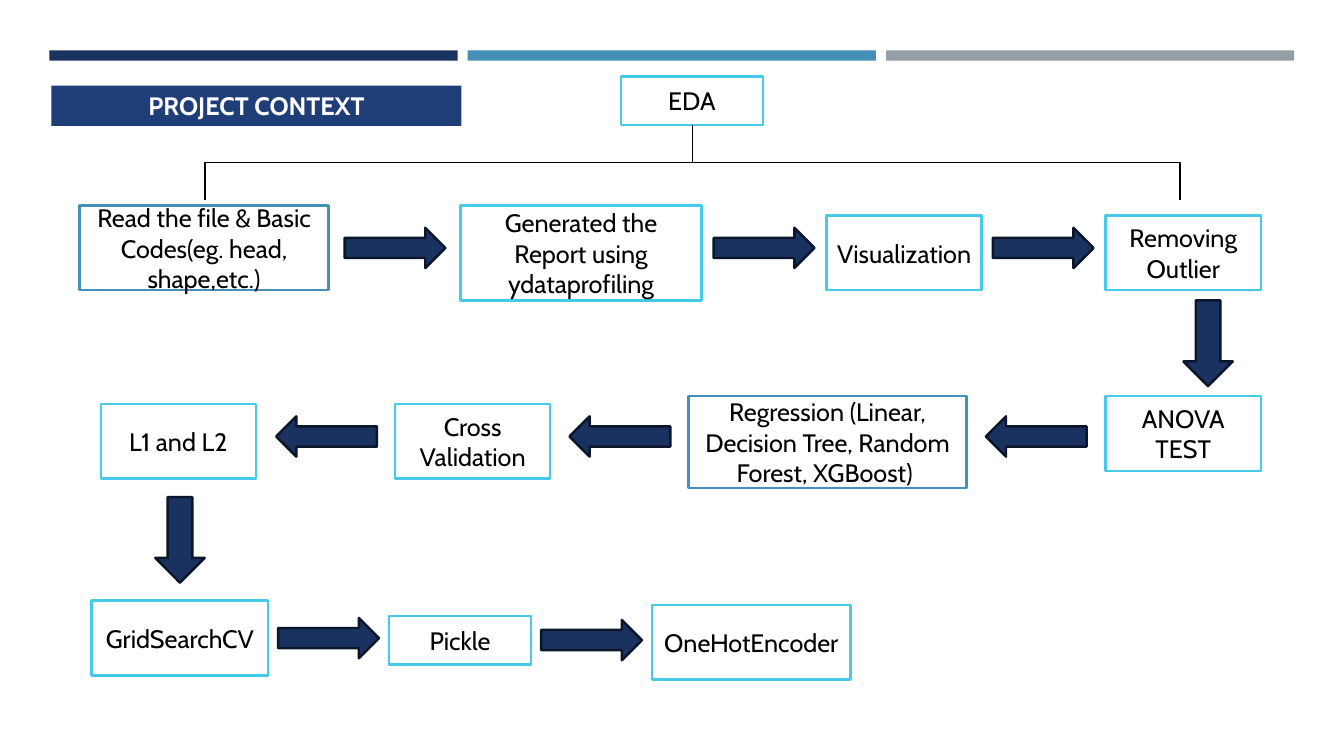
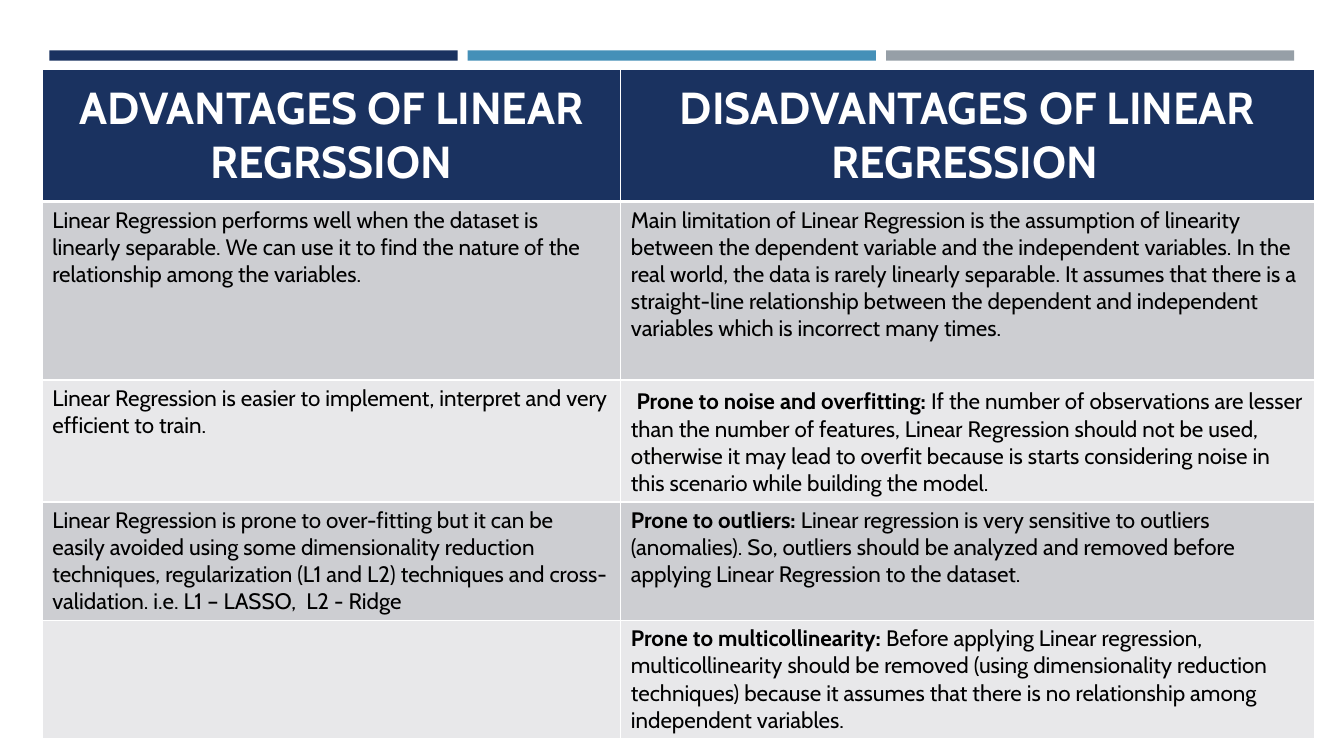
"""Build two slides: a project flow chart and a table on linear regression."""
import dataclasses

import pptx
import pptx.dml.color
import pptx.enum.shapes
import pptx.enum.text
import pptx.oxml
import pptx.oxml.ns
import pptx.shapes.autoshape
import pptx.slide
import pptx.table
import pptx.text.text
import pptx.util

Pt = pptx.util.Pt
Kind = pptx.enum.shapes.MSO_SHAPE
Align = pptx.enum.text.PP_ALIGN
Anchor = pptx.enum.text.MSO_ANCHOR

NAVY, BLUE, GREY, CYAN = "1A3260", "4590B8", "969FA7", "45CBE8"
TITLE, EDGE, BLACK, WHITE = "1F3E77", "0B162A", "000000", "FFFFFF"
STRIPES = ("CDCED2", "E8E8EA")
FONT = "Cabin"


@dataclasses.dataclass(frozen=True)
class Run:
    text: str
    size: float = 18
    bold: bool = False
    color: str = BLACK


@dataclasses.dataclass(frozen=True)
class Box:
    text: str
    left: float
    top: float
    width: float
    height: float
    edge: str = CYAN


@dataclasses.dataclass(frozen=True)
class Arrow:
    kind: Kind
    left: float
    top: float


BOXES = (
    Box("Read the file & Basic Codes(eg. head, shape,etc.)", 56.9, 146.9, 177.8, 60.5, BLUE),
    Box("Generated the Report using ydataprofiling", 329, 146.9, 172.1, 67.7),
    Box("Visualization", 590.4, 154.1, 110.9, 53.3),
    Box("Removing Outlier", 789.8, 154.1, 110.9, 53.3),
    Box("ANOVA TEST", 789.8, 283, 110.9, 53.3),
    Box("Regression (Linear, Decision Tree, Random Forest, XGBoost) ",
        491.8, 283, 198.7, 65.5, BLUE),
    Box("EDA", 443.5, 54.7, 101.5, 34.6),
    Box("Cross Validation", 282.2, 288.7, 110.9, 53.3),
    Box("L1 and L2", 72, 288.7, 110.9, 53.3),
    Box("GridSearchCV", 65.5, 429.1, 126, 53.3),
    Box("Pickle", 277.9, 439.9, 101.5, 34.6),
    Box("OneHotEncoder", 465.8, 432, 141.8, 53.3),
)

ARROWS = (
    Arrow(Kind.RIGHT_ARROW, 246.2, 162.7),
    Arrow(Kind.RIGHT_ARROW, 509.8, 162.7),
    Arrow(Kind.RIGHT_ARROW, 709.2, 162.7),
    Arrow(Kind.DOWN_ARROW, 845.3, 214.6),
    Arrow(Kind.LEFT_ARROW, 704.2, 297.4),
    Arrow(Kind.LEFT_ARROW, 406.8, 297.4),
    Arrow(Kind.LEFT_ARROW, 197.3, 297.4),
    Arrow(Kind.DOWN_ARROW, 110.9, 355),
    Arrow(Kind.RIGHT_ARROW, 198.7, 441.4),
    Arrow(Kind.RIGHT_ARROW, 386.6, 442.8),
)

HEADS = (
    (Run("ADVANTAGES OF LINEAR REGRSSION", 32, True, WHITE),),
    (Run("DISADVANTAGES OF LINEAR REGRESSION", 32, True, WHITE),
     Run(" ", 18, True, WHITE)),
)

BODY = (
    (
        (Run("Linear Regression performs well when the dataset is linearly separable. "
             "We can use it to find the nature of the relationship among the variables.", 16),),
        (Run("Main limitation of Linear Regression is the assumption of linearity between "
             "the dependent variable and the independent variables. In the real world, the "
             "data is rarely linearly separable. It assumes that there is a straight-line "
             "relationship between the dependent and independent variables which is "
             "incorrect many times.", 16),),
    ),
    (
        (Run("Linear Regression is easier to implement, interpret and very efficient "
             "to train.", 16),),
        (Run(" "),
         Run("Prone to noise and overfitting: ", 16, True),
         Run("If the number of observations are lesser than the number of features, Linear "
             "Regression should not be used, otherwise it may lead to overfit because is "
             "starts considering noise in this scenario while building the model.", 16)),
    ),
    (
        (Run("Linear Regression is prone to over-fitting but it can be easily avoided using "
             "some dimensionality reduction techniques, regularization (L1 and L2) techniques "
             "and cross-validation. i.e. L1 – LASSO,  L2 - Ridge", 16),),
        (Run("Prone to outliers: ", 16, True),
         Run("Linear regression is very sensitive to outliers (anomalies). So, outliers "
             "should be analyzed and removed before applying Linear Regression to the "
             "dataset.", 16)),
    ),
    (
        (),
        (Run("Prone to multicollinearity: ", 16, True),
         Run("Before applying Linear regression, multicollinearity should be removed (using "
             "dimensionality reduction techniques) because it assumes that there is no "
             "relationship among independent variables.", 16)),
    ),
)


def tint(code: str) -> pptx.dml.color.RGBColor:
    return pptx.dml.color.RGBColor.from_string(code)


def write(frame: pptx.text.text.TextFrame, runs: tuple[Run, ...], align: Align) -> None:
    para = frame.paragraphs[0]
    para.alignment = align
    for item in runs:
        run = para.add_run()
        run.text = item.text
        style = {"name": FONT, "size": Pt(item.size), "bold": item.bold}
        for key, value in style.items():
            setattr(run.font, key, value)
        run.font.color.rgb = tint(item.color)


def draw(slide: pptx.slide.Slide, kind: Kind, left: float, top: float, width: float,
         height: float, fill: str = "", edge: str = "",
         weight: float = 1.75) -> pptx.shapes.autoshape.Shape:
    shape = slide.shapes.add_shape(kind, Pt(left), Pt(top), Pt(width), Pt(height))
    shape.shadow.inherit = False
    for part, code in ((shape.fill, fill), (shape.line.fill, edge)):
        if code:
            part.solid()
            part.fore_color.rgb = tint(code)
        else:
            part.background()
    if edge:
        shape.line.width = Pt(weight)
    return shape


def label(shape: pptx.shapes.autoshape.Shape, run: Run) -> None:
    frame = shape.text_frame
    style = {"word_wrap": True, "vertical_anchor": Anchor.MIDDLE}
    for key, value in style.items():
        setattr(frame, key, value)
    write(frame, (run,), Align.CENTER)


def start(deck: pptx.presentation.Presentation) -> pptx.slide.Slide:
    slide = deck.slides.add_slide(deck.slide_layouts[6])
    for spot, code in enumerate((NAVY, BLUE, GREY)):
        draw(slide, Kind.RECTANGLE, 35.3 + spot * 298.8, 36, 291.6, 7.4, code)
    return slide


def border(cell: pptx.table._Cell, base: float) -> None:
    props = cell._tc.get_or_add_tcPr()
    for side, weight in (("L", 1), ("R", 1), ("T", 1), ("B", base)):
        props.append(pptx.oxml.parse_xml(
            f'<a:ln{side} {pptx.oxml.ns.nsdecls("a")} w="{Pt(weight)}">'
            f'<a:solidFill><a:srgbClr val="{WHITE}"/></a:solidFill></a:ln{side}>'))


def flow(deck: pptx.presentation.Presentation) -> None:
    slide = start(deck)
    label(draw(slide, Kind.RECTANGLE, 36.7, 61.2, 293, 28.8, TITLE),
          Run("PROJECT CONTEXT", 18, True, WHITE))
    for box in BOXES:
        shape = draw(slide, Kind.RECTANGLE, box.left, box.top, box.width, box.height,
                     WHITE, box.edge)
        label(shape, Run(box.text))
    for arrow in ARROWS:
        size = (35.3, 61.2) if arrow.kind == Kind.DOWN_ARROW else (72, 28.8)
        draw(slide, arrow.kind, arrow.left, arrow.top, *size, NAVY, EDGE)
    brace = draw(slide, Kind.LEFT_BRACE, 468, -231.8, 53.3, 696.2, edge=BLACK, weight=1)
    brace.rotation = 90
    for spot, value in enumerate((0, 0.5)):
        brace.adjustments[spot] = value


def compare(deck: pptx.presentation.Presentation) -> None:
    slide = start(deck)
    widths = (413.3, 495.4)
    heights = (94.3, 127.4, 82.1, 82.1, 82.1)
    grid = slide.shapes.add_table(len(heights), len(widths), Pt(30.2), Pt(49.7),
                                  Pt(sum(widths)), Pt(sum(heights))).table
    for column, width in zip(grid.columns, widths):
        column.width = Pt(width)
    for row, height in zip(grid.rows, heights):
        row.height = Pt(height)
    for line, texts in enumerate((HEADS, *BODY)):
        head = line == 0
        for spot, runs in enumerate(texts):
            cell = grid.cell(line, spot)
            border(cell, 3 if head else 1)
            cell.fill.solid()
            cell.fill.fore_color.rgb = tint(NAVY if head else STRIPES[(line - 1) % 2])
            cell.vertical_anchor = Anchor.MIDDLE if head else Anchor.TOP
            write(cell.text_frame, runs, Align.CENTER if head else Align.LEFT)


def main() -> None:
    deck = pptx.Presentation()
    for key, value in {"slide_width": Pt(960), "slide_height": Pt(540)}.items():
        setattr(deck, key, value)
    flow(deck)
    compare(deck)
    deck.save("out.pptx")


if __name__ == "__main__":
    main()
